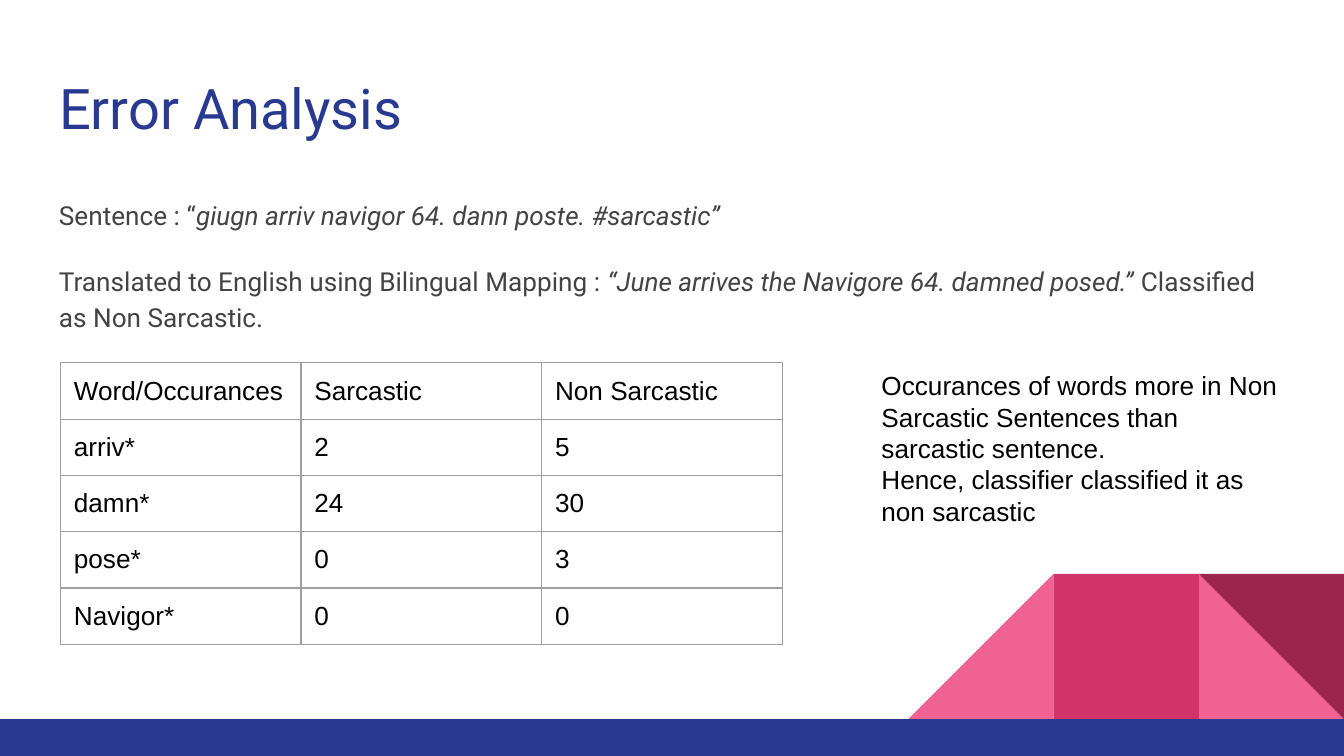
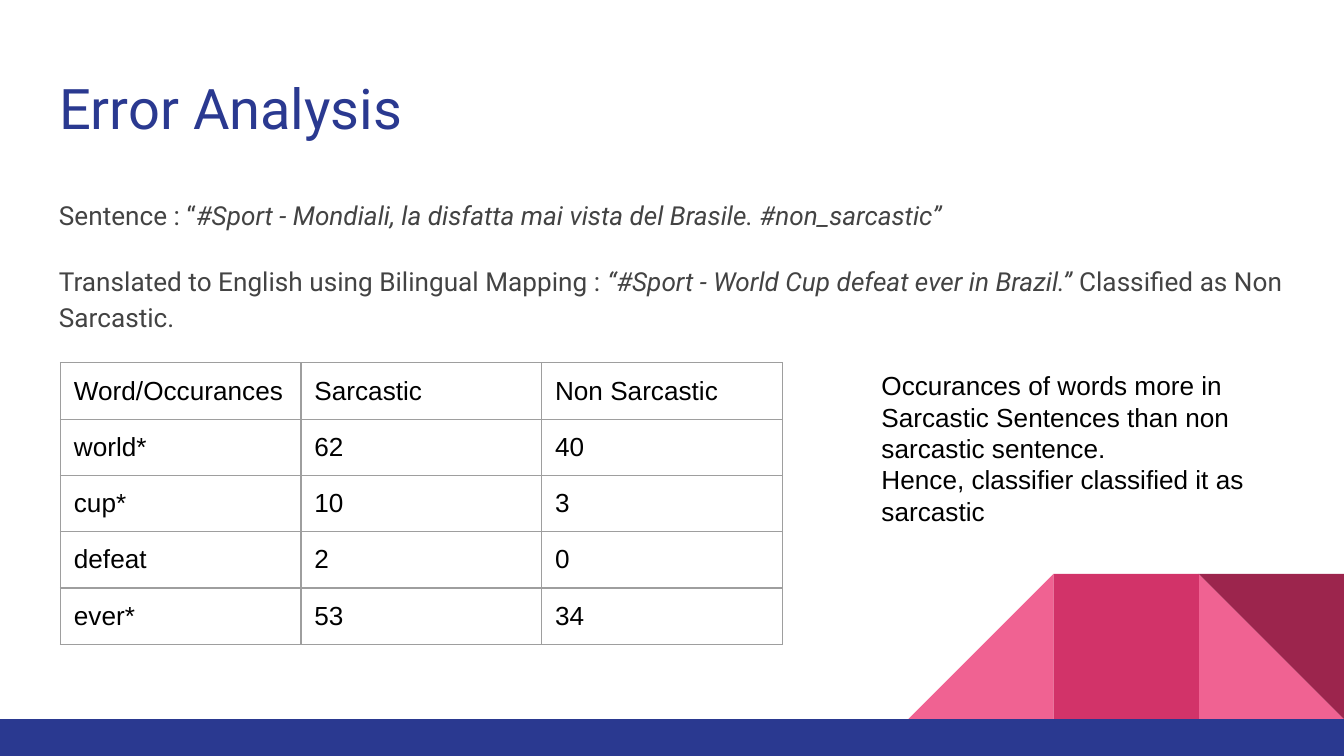
"""Builds two error analysis slides with word counts for a sarcasm classifier."""
from dataclasses import dataclass
from typing import Any

from lxml.etree import SubElement
from pptx import Presentation
from pptx.dml.color import RGBColor
from pptx.enum.shapes import MSO_SHAPE as Preset
from pptx.enum.text import MSO_ANCHOR as Anchor, MSO_AUTO_SIZE as AutoSize, PP_ALIGN as Align
from pptx.oxml.ns import qn
from pptx.util import Emu, Pt

EMU_PER_PX = 4572
SLIDE_WIDTH, SLIDE_HEIGHT = 2000, 1125
INSET = 20
BAND_TOP = 1070
TILE = 216

NAVY, INK, BLACK, GRID = "2A3990", "434343", "000000", "9E9E9E"
PINK, ROSE, WINE = "F06292", "D23369", "9C254D"
HEADINGS = ("Word/Occurances", "Sarcastic", "Non Sarcastic")
COLUMN_WIDTH, ROW_HEIGHT = 358, 83


@dataclass(frozen=True)
class Box:
    left: int
    top: int
    width: int
    height: int

    def emu(self) -> tuple[Emu, ...]:
        return tuple(map(px, (self.left, self.top, self.width, self.height)))


@dataclass(frozen=True)
class Ornament:
    preset: Preset
    box: Box
    color: str
    rotation: int = 0
    flipped: bool = False


@dataclass(frozen=True)
class TextStyle:
    font: str
    size: int
    color: str


@dataclass(frozen=True)
class Analysis:
    sentence: str
    translation: str
    counts: tuple[tuple[str, int, int], ...]
    conclusion: str


def px(length: int) -> Emu:
    return Emu(length * EMU_PER_PX)


def rgb(color: str) -> RGBColor:
    return RGBColor.from_string(color)


def tile(column: int) -> Box:
    return Box(SLIDE_WIDTH - (3 - column) * TILE, BAND_TOP - TILE, TILE, TILE)


TITLE_BOX = Box(68, 90, 1864, 132)
BODY_BOX = Box(68, 270, 1864, 730)
TABLE_LEFT, TABLE_TOP = 90, 540
CONCLUSION_BOX = Box(1292, 530, 630, 260)

TITLE_STYLE = TextStyle("Roboto", 30, NAVY)
BODY_STYLE = TextStyle("Roboto", 14, INK)
DATA_STYLE = TextStyle("Arial", 14, BLACK)

MARGINS = {f"margin_{side}": px(INSET) for side in ("left", "top", "right", "bottom")}
FRAME_FORMAT = MARGINS | {
    "word_wrap": True,
    "auto_size": AutoSize.NONE,
    "vertical_anchor": Anchor.TOP,
}
CELL_FORMAT = MARGINS | {"vertical_anchor": Anchor.TOP}
BODY_SPACING = {"line_spacing": 1.15, "space_after": Pt(16)}

ORNAMENTS = (
    Ornament(Preset.RIGHT_TRIANGLE, tile(2), PINK),
    Ornament(Preset.RIGHT_TRIANGLE, tile(0), PINK, flipped=True),
    Ornament(Preset.RECTANGLE, tile(1), ROSE),
    Ornament(Preset.RIGHT_TRIANGLE, tile(2), WINE, rotation=180),
    Ornament(Preset.RECTANGLE, Box(0, BAND_TOP, SLIDE_WIDTH, SLIDE_HEIGHT - BAND_TOP), NAVY),
)

ANALYSES = (
    Analysis(
        "giugn arriv navigor 64. dann poste. #sarcastic”",
        "“June arrives the Navigore 64. damned posed.”",
        (("arriv*", 2, 5), ("damn*", 24, 30), ("pose*", 0, 3), ("Navigor*", 0, 0)),
        "Occurances of words more in Non Sarcastic Sentences than sarcastic sentence.\n"
        "Hence, classifier classified it as non sarcastic",
    ),
    Analysis(
        "#Sport - Mondiali, la disfatta mai vista del Brasile. #non_sarcastic”",
        "“#Sport - World Cup defeat ever in Brazil.”",
        (("world*", 62, 40), ("cup*", 10, 3), ("defeat", 2, 0), ("ever*", 53, 34)),
        "Occurances of words more in Sarcastic Sentences than non sarcastic sentence.\n"
        "Hence, classifier classified it as sarcastic",
    ),
)


def apply_format(target: Any, values: dict[str, Any]) -> None:
    for attribute, value in values.items():
        setattr(target, attribute, value)


def style_run(run: Any, style: TextStyle, italic: bool = False) -> None:
    apply_format(run.font, {"name": style.font, "size": Pt(style.size), "italic": italic})
    run.font.color.rgb = rgb(style.color)


def write_text(paragraph: Any, text: str, style: TextStyle) -> None:
    paragraph.text = text
    paragraph.alignment = Align.LEFT
    for run in paragraph.runs:
        style_run(run, style)


def add_frame(slide: Any, box: Box) -> Any:
    frame = slide.shapes.add_textbox(*box.emu()).text_frame
    apply_format(frame, FRAME_FORMAT)
    return frame


def add_ornament(slide: Any, ornament: Ornament) -> None:
    shape = slide.shapes.add_shape(ornament.preset, *ornament.box.emu())
    shape.shadow.inherit = False
    shape.fill.solid()
    shape.fill.fore_color.rgb = rgb(ornament.color)
    shape.line.fill.background()
    shape.rotation = ornament.rotation
    if ornament.flipped:
        shape._element.spPr.find(qn("a:xfrm")).set("flipH", "1")


def set_title(slide: Any, text: str) -> None:
    title = slide.shapes.title
    apply_format(title, dict(zip(("left", "top", "width", "height"), TITLE_BOX.emu())))
    apply_format(title.text_frame, FRAME_FORMAT)
    write_text(title.text_frame.paragraphs[0], text, TITLE_STYLE)


def add_body(slide: Any, analysis: Analysis) -> None:
    frame = add_frame(slide, BODY_BOX)
    statements = (
        (("Sentence : “", False), (analysis.sentence, True)),
        (
            ("Translated to English using Bilingual Mapping : ", False),
            (analysis.translation, True),
            (" Classified as Non Sarcastic.", False),
        ),
    )
    for index, statement in enumerate(statements):
        paragraph = frame.add_paragraph() if index else frame.paragraphs[0]
        apply_format(paragraph, BODY_SPACING)
        for text, italic in statement:
            run = paragraph.add_run()
            run.text = text
            style_run(run, BODY_STYLE, italic)


def draw_borders(cell: Any) -> None:
    properties = cell._tc.get_or_add_tcPr()
    for position, side in enumerate(("lnL", "lnR", "lnT", "lnB")):
        border = SubElement(properties, qn(f"a:{side}"), w=str(Pt(0.75)))
        fill = SubElement(border, qn("a:solidFill"))
        SubElement(fill, qn("a:srgbClr"), val=GRID)
        properties.insert(position, border)


def add_counts(slide: Any, counts: tuple[tuple[str, int, int], ...]) -> None:
    rows = (HEADINGS, *counts)
    box = Box(TABLE_LEFT, TABLE_TOP, COLUMN_WIDTH * len(HEADINGS), ROW_HEIGHT * len(rows))
    table = slide.shapes.add_table(len(rows), len(HEADINGS), *box.emu()).table
    apply_format(table, {"first_row": False, "horz_banding": False})
    for row_index, row in enumerate(rows):
        for column_index, value in enumerate(row):
            cell = table.cell(row_index, column_index)
            apply_format(cell, CELL_FORMAT)
            write_text(cell.text_frame.paragraphs[0], str(value), DATA_STYLE)
            cell.fill.background()
            draw_borders(cell)


def add_analysis(deck: Any, analysis: Analysis) -> None:
    slide = deck.slides.add_slide(deck.slide_layouts.get_by_name("Title Only"))
    for ornament in ORNAMENTS:
        add_ornament(slide, ornament)
    set_title(slide, "Error Analysis")
    add_body(slide, analysis)
    add_counts(slide, analysis.counts)
    conclusion = add_frame(slide, CONCLUSION_BOX)
    write_text(conclusion.paragraphs[0], analysis.conclusion, DATA_STYLE)


def main() -> None:
    deck = Presentation()
    apply_format(deck, {"slide_width": px(SLIDE_WIDTH), "slide_height": px(SLIDE_HEIGHT)})
    for analysis in ANALYSES:
        add_analysis(deck, analysis)
    deck.save("out.pptx")


if __name__ == "__main__":
    main()
